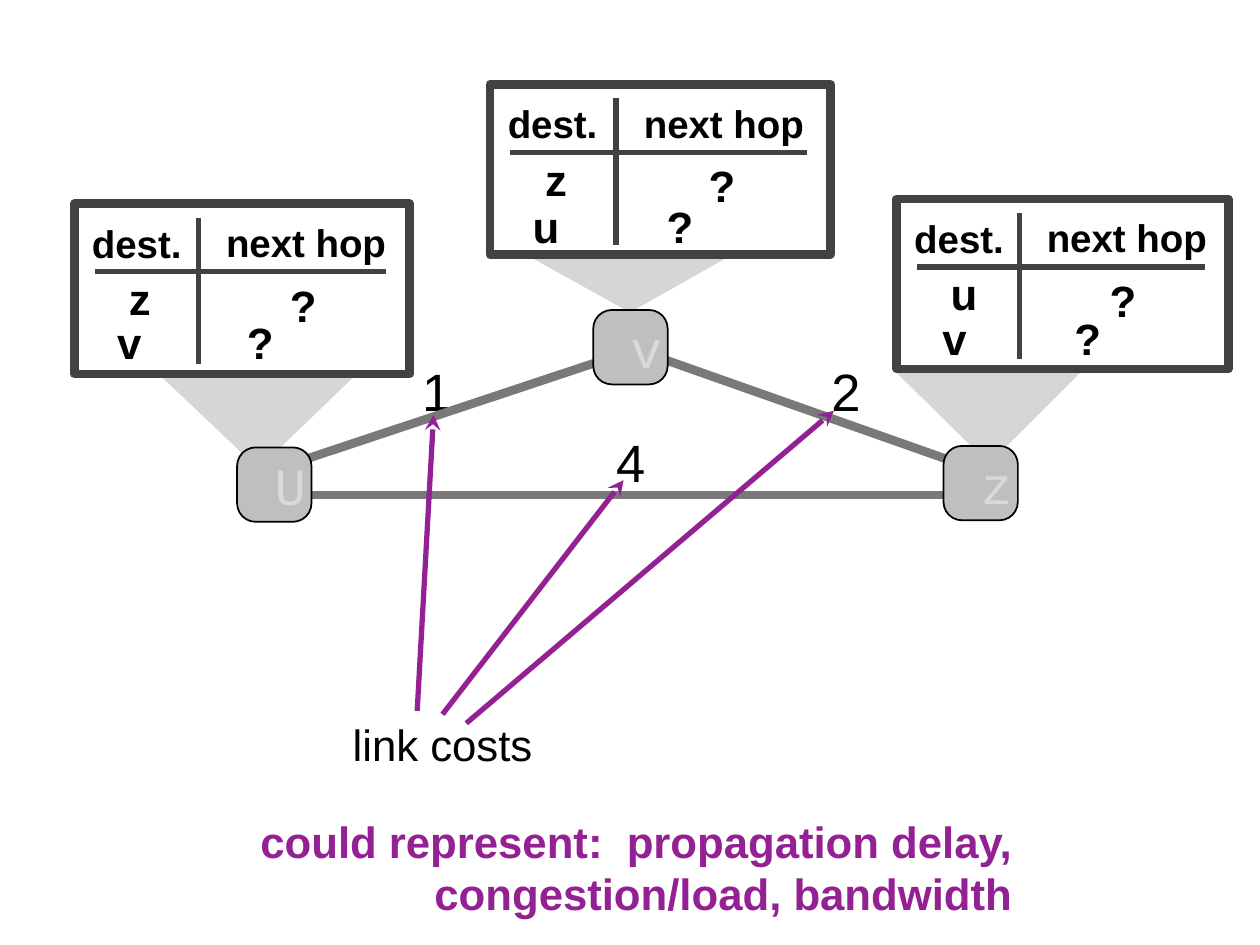
"""Routing tables and link costs in a three-node network."""
from lxml import etree
from pptx import Presentation
from pptx import util as u
from pptx.dml.color import RGBColor
from pptx.enum import shapes as kinds, text as txt
from pptx.oxml.ns import qn

BLACK = RGBColor(0x00, 0x00, 0x00)
FRAME = RGBColor(0x42, 0x42, 0x42)
LINK = RGBColor(0x79, 0x79, 0x79)
WEDGE = RGBColor(0xD6, 0xD6, 0xD6)
NODE = RGBColor(0xBF, 0xBF, 0xBF)
LETTER = RGBColor(0xD9, 0xD9, 0xD9)
PURPLE = RGBColor(0x94, 0x21, 0x93)

wedges = [
    [(18.08, 7.52), (21.77, 7.52), (19.94, 9.35)],
    [(10.74, 5.21), (14.63, 5.21), (12.7, 6.3)],
    [(3.25, 7.59), (7.14, 7.59), (5.21, 9.45)],
]
routing_tables = [
    {"at": (1.5, 4.11, 6.76), "dests": ("z", "v"), "row2": (2.26, 4.88, 6.25)},
    {"at": (18.08, 4.01, 6.68), "dests": ("u", "v"), "row2": (18.9, 21.56, 6.17)},
    {"at": (9.88, 1.7, 6.86), "dests": ("z", "u"), "row2": (10.64, 13.34, 3.91)},
]
costs = [("4", 12.32, 8.56), ("1", 8.41, 7.14), ("2", 16.66, 7.14)]
links = [
    ((12.37, 7.19), (5.97, 9.32)),
    ((6.15, 9.98), (19.66, 9.98)),
    ((13.23, 7.19), (19.69, 9.47)),
]
nodes = [("v", 11.96, 6.25), ("U", 4.78, 9.02), ("z", 19.02, 8.99)]
cost_arrows = [
    ((8.74, 8.36), (8.41, 14.33)),
    ((12.57, 9.68), (8.92, 14.4)),
    ((16.81, 8.28), (9.4, 14.58)),
]
cost_label = "link costs"
meaning = "could represent:  propagation delay, congestion/load, bandwidth"


def write(shape, words, size, color=BLACK, bold=False, font="Arial",
          align=txt.PP_ALIGN.LEFT, inset=0.1):
    frame = shape.text_frame
    frame.text = words
    frame.word_wrap = True
    frame.vertical_anchor = txt.MSO_ANCHOR.MIDDLE
    frame.margin_left = frame.margin_right = u.Cm(inset)
    frame.margin_top = frame.margin_bottom = u.Cm(inset)
    frame.paragraphs[0].alignment = align
    style = frame.paragraphs[0].runs[0].font
    style.name, style.size, style.bold = font, u.Pt(size), bold
    style.color.rgb = color


def label(parent, words, box, size, **style):
    write(parent.add_textbox(*map(u.Cm, box)), words, size, **style)


def line(parent, start, end, color, width, arrow=False):
    stroke = parent.add_connector(
        kinds.MSO_CONNECTOR.STRAIGHT, *map(u.Cm, (*start, *end)))
    stroke.line.color.rgb = color
    stroke.line.width = u.Pt(width)
    if arrow:
        etree.SubElement(stroke.line._get_or_add_ln(), qn("a:headEnd"), type="stealth")
    etree.SubElement(stroke._element.spPr, qn("a:effectLst"))


def block(parent, kind, box, color, width):
    shape = parent.add_shape(kind, *map(u.Cm, box))
    shape.shadow.inherit = False
    shape.line.color.rgb = color
    shape.line.width = u.Pt(width)
    return shape


def routing_table(canvas, at, dests, row2):
    left, top, width = at
    group = canvas.add_group_shape().shapes

    def x(share):
        return left + share * width

    block(group, kinds.MSO_SHAPE.RECTANGLE, (left, top, width, 3.43),
          FRAME, 5).fill.background()
    cells = [
        ("dest.", 0.03, 0.2, 0.71, 1.17, 22),
        ("next hop", 0.43, 0.19, 0.56, 1.17, 22),
        (dests[0], 0.14, 1.25, 0.22, 1.3, 25),
        ("?", 0.62, 1.38, 0.12, 1.3, 25),
    ]
    for words, share, down, wide, high, size in cells:
        label(group, words, (x(share), top + down, wide * width, high), size,
              bold=True, inset=0.15)
    line(group, (x(0.06), top + 1.37), (x(0.93), top + 1.37), FRAME, 3)
    line(group, (x(0.37), top + 3.23), (x(0.37), top + 0.28), FRAME, 3)
    dest_left, hop_left, row_top = row2
    for words, cell_left in ((dests[1], dest_left), ("?", hop_left)):
        label(canvas, words, (cell_left, row_top, 0.7, 1.3), 25, bold=True)


deck = Presentation()
deck.slide_width, deck.slide_height = u.Cm(25.4), u.Cm(19.05)
canvas = deck.slides.add_slide(deck.slide_layouts[6]).shapes

for corners in wedges:
    first, *rest = [(u.Cm(x), u.Cm(y)) for x, y in corners]
    builder = canvas.build_freeform(*first)
    builder.add_line_segments(rest, close=True)
    wedge = builder.convert_to_shape()
    wedge.shadow.inherit = False
    wedge.fill.solid()
    wedge.fill.fore_color.rgb = WEDGE
    wedge.line.fill.background()

for table in routing_tables:
    routing_table(canvas, **table)

for cost, left, top in costs:
    label(canvas, cost, (left, top, 0.8, 1.47), 30)

for start, end in links:
    line(canvas, start, end, LINK, 5)

for name, left, top in nodes:
    node = block(canvas, kinds.MSO_SHAPE.ROUNDED_RECTANGLE, (left, top, 1.5, 1.5), BLACK, 1)
    node.adjustments[0] = 0.25
    node.fill.solid()
    node.fill.fore_color.rgb = NODE
    write(node, name, 30, LETTER, font="Courier New", align=txt.PP_ALIGN.RIGHT, inset=0)

label(canvas, cost_label, (7.01, 14.35, 4, 1.3), 25)
for start, end in cost_arrows:
    line(canvas, start, end, PURPLE, 3, arrow=True)
label(canvas, meaning, (4.55, 16.31, 15.95, 2.34), 25, color=PURPLE, bold=True,
      align=txt.PP_ALIGN.RIGHT)

deck.save("out.pptx")
